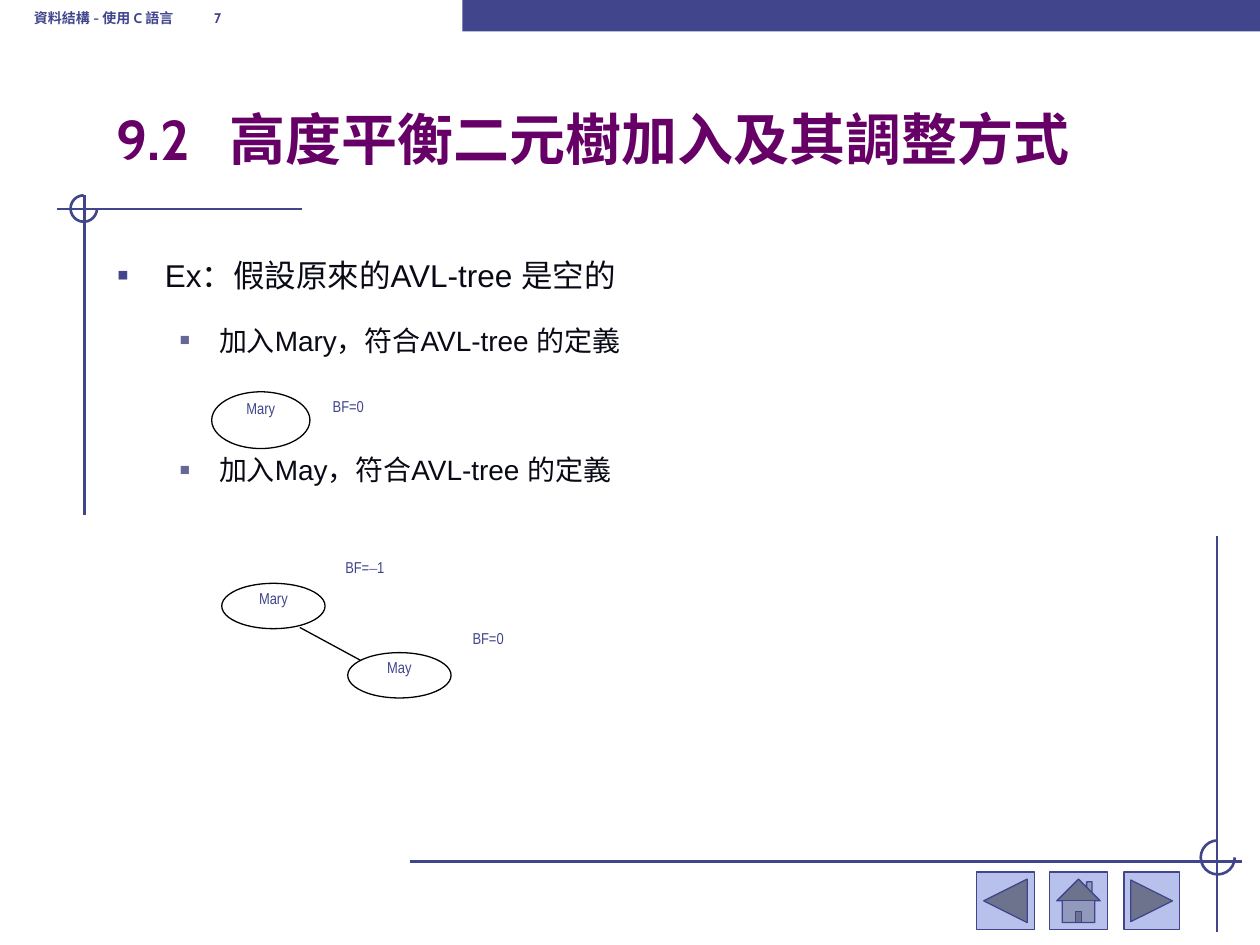
from lxml import etree
from pptx import Presentation
from pptx.dml.color import RGBColor
from pptx.enum import shapes, text
from pptx.oxml.ns import qn
from pptx.util import Inches, Pt

INDIGO = RGBColor(0x40, 0x45, 0x8C)
SLATE = RGBColor(0x66, 0x66, 0x99)
PERIWINKLE = RGBColor(0xB7, 0xC1, 0xEB)
PURPLE = RGBColor(0x66, 0x00, 0x66)
INK = RGBColor(0x09, 0x0A, 0x15)
BLACK = RGBColor(0, 0, 0)
SHAPE = shapes.MSO_SHAPE
ANCHOR = text.MSO_ANCHOR
NODE_TOP_LEFT = [("Mary", 1.68, 3.11, 0.78, 0.45), ("Mary", 1.76, 4.63, 0.82, 0.36),
                 ("May", 2.76, 5.18, 0.82, 0.36)]
BALANCE_FACTORS = [(["BF=0"], 2.64, 3.16), (["BF=", "–", "1"], 2.74, 4.44), (["BF=0"], 3.75, 5)]


def add_line(slide, start, end, color=INDIGO, width=1.5):
    """Draw a straight line without a shadow."""
    line = slide.shapes.add_connector(
        shapes.MSO_CONNECTOR.STRAIGHT, *(Inches(value) for value in (*start, *end)))
    line.line.color.rgb = color
    line.line.width = Pt(width)
    etree.SubElement(line._element.spPr, qn("a:effectLst"))


def add_figure(slide, kind, box, fill=None, outline=None, width=0.75):
    """Draw a preset shape with an optional fill and outline."""
    figure = slide.shapes.add_shape(kind, *(Inches(value) for value in box))
    figure.shadow.inherit = False
    if fill is None:
        figure.fill.background()
    else:
        figure.fill.solid()
        figure.fill.fore_color.rgb = fill
    if outline is None:
        figure.line.fill.background()
    else:
        figure.line.color.rgb = outline
        figure.line.width = Pt(width)
    return figure


def set_frame(frame, anchor=ANCHOR.TOP, side=0.0, edge=0.0):
    """Set wrapping, anchor and margins of a text frame."""
    frame.word_wrap = True
    frame.vertical_anchor = anchor
    frame.margin_left = frame.margin_right = Inches(side)
    frame.margin_top = frame.margin_bottom = Inches(edge)


def add_frame(slide, box, **settings):
    """Add a text box and return its text frame."""
    frame = slide.shapes.add_textbox(*(Inches(value) for value in box)).text_frame
    set_frame(frame, **settings)
    return frame


def add_run(paragraph, words, size, font, color, bold=False):
    """Append a run in one Latin and East Asian font."""
    run = paragraph.add_run()
    run.text = words
    run.font.size = Pt(size)
    run.font.name = font
    run.font.bold = bold
    run.font.color.rgb = color
    etree.SubElement(run.font._element, qn("a:ea"), typeface=font)


def add_tab(paragraph, position):
    """Set one left tab stop."""
    tabs = etree.SubElement(paragraph._p.get_or_add_pPr(), qn("a:tabLst"))
    etree.SubElement(tabs, qn("a:tab"), pos=str(Inches(position)), algn="l")


def add_bullet(paragraph, symbol, color, percent, left, hanging):
    """Set a coloured bullet with a hanging indent."""
    properties = paragraph._p.get_or_add_pPr()
    properties.set("marL", str(Inches(left)))
    properties.set("indent", str(-Inches(hanging)))
    bullet_color = etree.SubElement(properties, qn("a:buClr"))
    etree.SubElement(bullet_color, qn("a:srgbClr"), val=str(color))
    etree.SubElement(properties, qn("a:buSzPct"), val=str(percent * 1000))
    etree.SubElement(properties, qn("a:buFont"), typeface="Arial")
    etree.SubElement(properties, qn("a:buChar"), char=symbol)


def add_corner(slide, horizontal, vertical, circle):
    """Draw crossing lines with a three-quarter circle."""
    add_line(slide, *horizontal)
    add_line(slide, *vertical)
    arc = add_figure(slide, SHAPE.ARC, circle, outline=INDIGO, width=1.5)
    arc.adjustments[0] = 0
    arc.adjustments[1] = 162


def add_heading(slide, box, words, size, color, tab, **settings):
    """Add a bold one-line heading with a tab stop."""
    paragraph = add_frame(slide, box, side=0.1, **settings).paragraphs[0]
    add_tab(paragraph, tab)
    add_run(paragraph, words, size, "Cabin", color, True)


def add_outline(slide):
    """Add the example and its insertion steps."""
    frame = add_frame(slide, (0.83, 1.98, 8.81, 4.07), side=0.1, edge=0.05)
    example = frame.paragraphs[0]
    add_bullet(example, "▪", INDIGO, 110, 0.38, 0.38)
    add_run(example, "Ex：假設原來的AVL-tree 是空的", 18, "Arial", INK)
    for name, gap in (("Mary", 17), ("May", 55)):
        step = frame.add_paragraph()
        step.level = 1
        step.space_before = Pt(gap)
        add_bullet(step, "■", SLATE, 60, 0.81, 0.31)
        add_run(step, f"加入{name}，符合AVL-tree 的定義", 16, "Arial", INK)


def add_node(slide, name, *box):
    """Draw a tree node with its name."""
    frame = add_figure(slide, SHAPE.OVAL, box, outline=BLACK).text_frame
    set_frame(frame)
    paragraph = frame.paragraphs[0]
    paragraph.alignment = text.PP_ALIGN.CENTER
    paragraph.line_spacing = 0.96
    add_run(paragraph, name, 9, "Arial Narrow", INDIGO)


def add_balance(slide, parts, left, top):
    """Write a node's balance factor."""
    paragraph = add_frame(slide, (left, top, 0.69, 0.33)).paragraphs[0]
    paragraph.line_spacing = 0.96
    for part in parts:
        font = "Times New Roman" if part == "–" else "Arial Narrow"
        add_run(paragraph, part, 9, font, INDIGO)


def main():
    """Build and save the slide."""
    deck = Presentation()
    deck.slide_width, deck.slide_height = Inches(10), Inches(7.5)
    slide = deck.slides.add_slide(deck.slide_layouts[6])
    add_corner(slide, ((2.4, 1.66), (0.45, 1.66)), ((0.67, 1.55), (0.67, 4.09)),
               (0.56, 1.55, 0.21, 0.21))
    add_figure(slide, SHAPE.RECTANGLE, (3.67, 0, 6.33, 0.25), fill=INDIGO)
    for kind, left, width in ((SHAPE.ACTION_BUTTON_HOME, 8.33, 0.46),
                              (SHAPE.ACTION_BUTTON_FORWARD_OR_NEXT, 8.92, 0.44),
                              (SHAPE.ACTION_BUTTON_BACK_OR_PREVIOUS, 7.75, 0.46)):
        add_figure(slide, kind, (left, 6.92, width, 0.46), PERIWINKLE, INDIGO)
    add_corner(slide, ((3.25, 6.84), (9.86, 6.84)), ((9.66, 4.25), (9.66, 7.4)),
               (9.53, 6.67, 0.27, 0.27))
    add_heading(slide, (0.17, 0, 3.08, 0.29), "資料結構 - 使用 C 語言\t7", 8, INDIGO, 1.43,
                anchor=ANCHOR.MIDDLE)
    add_heading(slide, (0.83, 0.58, 8.5, 0.83), "9.2\t高度平衡二元樹加入及其調整方式", 32,
                PURPLE, 0.89, anchor=ANCHOR.BOTTOM, edge=0.05)
    add_outline(slide)
    for node in NODE_TOP_LEFT:
        add_node(slide, *node)
    for balance in BALANCE_FACTORS:
        add_balance(slide, *balance)
    add_line(slide, (2.38, 4.98), (2.86, 5.24), BLACK, 0.75)
    deck.save("out.pptx")


if __name__ == "__main__":
    main()
